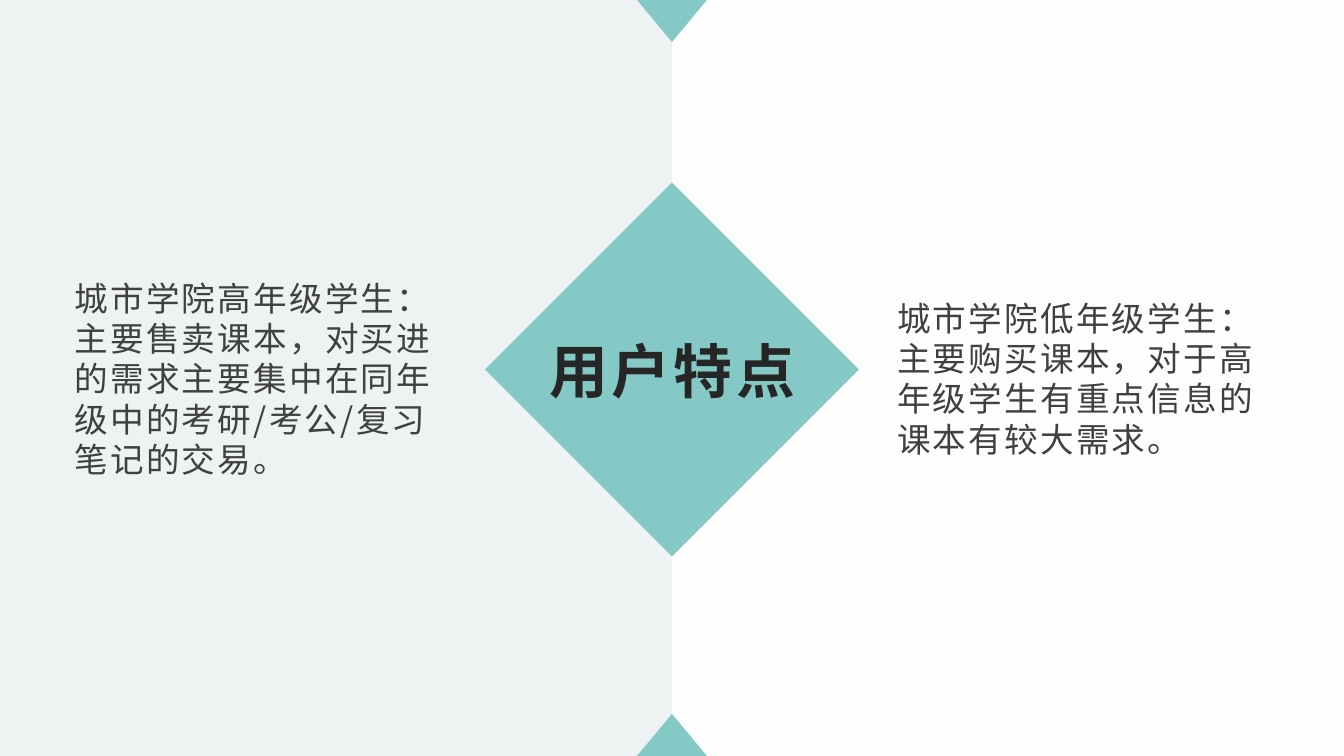
from lxml import etree
from pptx import Presentation
from pptx.dml.color import RGBColor
from pptx.enum import shapes, text
from pptx.oxml import ns
from pptx.util import Cm, Pt

WHITE = RGBColor(0xFF, 0xFE, 0xFE)
PALE = RGBColor(0xED, 0xF2, 0xF2)
TEAL = RGBColor(0x84, 0xC9, 0xC5)
TITLE_INK = RGBColor(0x26, 0x26, 0x26)
BODY_INK = RGBColor(0x40, 0x40, 0x40)
FONT = "Noto Sans CJK SC"

WIDTH, HEIGHT = 33.87, 19.05
TIP_WIDTH, TIP_HEIGHT = 1.76, 1.06
DIAMOND = 9.42

SENIORS = "城市学院高年级学生：主要售卖课本，对买进的需求主要集中在同年级中的考研/考公/复习笔记的交易。"
JUNIORS = "城市学院低年级学生：主要购买课本，对于高年级学生有重点信息的课本有较大需求。"


def add_block(slide, kind, left, top, width, height, color):
    """Add a flat shape without outline."""
    shape = slide.shapes.add_shape(kind, Cm(left), Cm(top), Cm(width), Cm(height))
    shape.shadow.inherit = False
    shape.fill.solid()
    shape.fill.fore_color.rgb = color
    shape.line.fill.background()
    return shape


def add_text(slide, wording, left, top, width, height, size, color, spacing):
    """Add a vertically centred text box and return its paragraph."""
    box = slide.shapes.add_textbox(Cm(left), Cm(top), Cm(width), Cm(height))
    frame = box.text_frame
    frame.word_wrap = True
    frame.vertical_anchor = text.MSO_ANCHOR.MIDDLE
    frame.margin_left = frame.margin_right = Cm(0.18)
    frame.margin_top = frame.margin_bottom = Cm(0.08)
    frame.text = wording
    paragraph = frame.paragraphs[0]
    font = paragraph.runs[0].font
    font.size = Pt(size)
    font.name = FONT
    font.color.rgb = color
    # Letter spacing and the East Asian typeface
    properties = paragraph.runs[0]._r.get_or_add_rPr()
    properties.set("spc", str(round(spacing * 100)))
    etree.SubElement(properties, ns.qn("a:ea")).set("typeface", FONT)
    return paragraph


def add_title(slide, wording):
    paragraph = add_text(slide, wording, 13.13, 8.26, 7.62, 2.11, 42, TITLE_INK, 2.6)
    paragraph.alignment = text.PP_ALIGN.CENTER
    paragraph.runs[0].font.bold = True


def add_description(slide, wording, left):
    paragraph = add_text(slide, wording, left, 5.51, 9.73, 8.05, 24, BODY_INK, 1.6)
    paragraph.alignment = text.PP_ALIGN.LEFT
    paragraph.line_spacing = 1.0


def main():
    presentation = Presentation()
    presentation.slide_width, presentation.slide_height = Cm(WIDTH), Cm(HEIGHT)
    slide = presentation.slides.add_slide(presentation.slide_layouts[6])
    slide.background.fill.solid()
    slide.background.fill.fore_color.rgb = WHITE

    # Left half
    kind = shapes.MSO_SHAPE
    add_block(slide, kind.RECTANGLE, 0, 0, WIDTH / 2, HEIGHT, PALE)

    # Tips at the top and bottom edges, pointing inwards
    tip_left = (WIDTH - TIP_WIDTH) / 2
    for top, merge in ((0, kind.FLOWCHART_MERGE),
                       (HEIGHT - TIP_HEIGHT, kind.ISOSCELES_TRIANGLE)):
        add_block(slide, merge, tip_left, top, TIP_WIDTH, TIP_HEIGHT, TEAL)

    # Central diamond with the title
    add_block(slide, kind.DIAMOND, (WIDTH - DIAMOND) / 2, 4.6, DIAMOND, DIAMOND, TEAL)
    add_title(slide, "用户特点")

    # User groups on either side
    add_description(slide, SENIORS, 1.7)
    add_description(slide, JUNIORS, 22.43)

    presentation.save("out.pptx")


if __name__ == "__main__":
    main()
